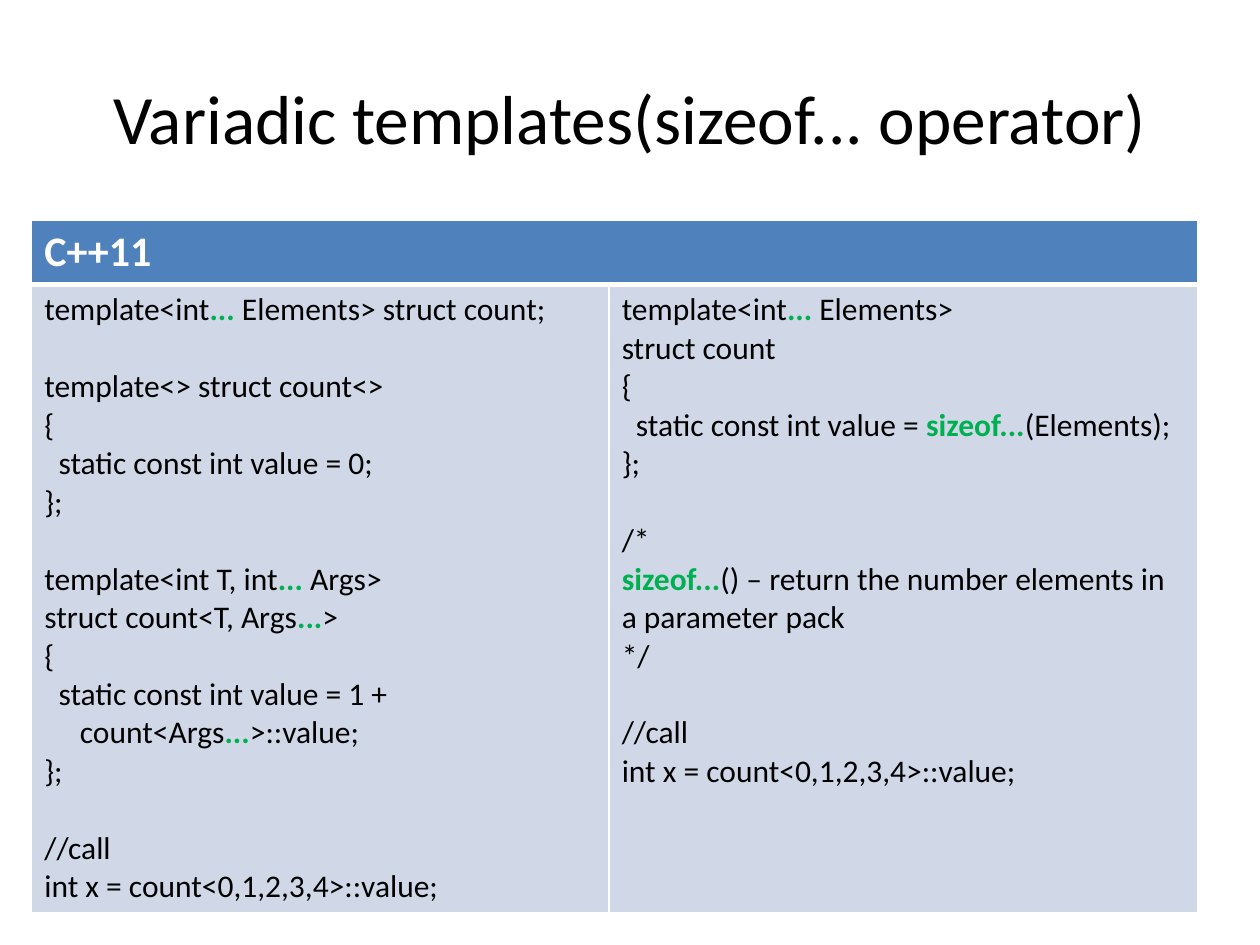
from dataclasses import dataclass

from lxml import etree
from pptx import Presentation
from pptx import util as u
from pptx.dml.color import RGBColor
from pptx.enum import text
from pptx.oxml.ns import qn


@dataclass(frozen=True)
class Theme:
    font: str = "Calibri"
    ink: str = "000000"
    white: str = "FFFFFF"
    head: str = "4F81BD"
    body: str = "D0D8E8"
    mark: str = "00B050"
    title: float = 39.6
    label: float = 24
    code: float = 18
    gap: float = 22  # one line of code
    thin: float = 1
    thick: float = 3


# Code lines: parts between bars are marked, "" leaves a one-line gap
LEFT = [
    "template<int|...| Elements> struct count;",
    "",
    "template<> struct count<>",
    "{",
    "  static const int value = 0;",
    "};",
    "",
    "template<int T, int|...| Args>",
    "struct count<T, Args|...|>",
    "{",
    "  static const int value = 1 +",
    "     count<Args|...|>::value;",
    "};",
    "",
    "//call",
    "int x = count<0,1,2,3,4>::value;",
]
RIGHT = [
    "template<int|...| Elements>",
    "struct count",
    "{",
    "  static const int value = |sizeof...|(Elements);",
    "};",
    "",
    "/*",
    "|sizeof...|() – return the number elements in a parameter pack",
    "*/",
    "",
    "//call",
    "int x = count<0,1,2,3,4>::value;",
]


class Page:
    def __init__(self, deck, theme):
        self.theme = theme
        self.slide = deck.slides.add_slide(deck.slide_layouts[5])

    def run(self, par, words, size, color, bold=False):
        run = par.add_run()
        run.text = words
        font = run.font
        font.name, font.size, font.bold = self.theme.font, u.Pt(size), bold
        font.color.rgb = RGBColor.from_string(color)

    def title(self, words, left, top, width, height):
        box = self.slide.shapes.title
        box.left, box.top, box.width, box.height = map(u.Cm, (left, top, width, height))
        frame = box.text_frame
        frame.word_wrap = True
        frame.vertical_anchor = text.MSO_ANCHOR.MIDDLE
        par = frame.paragraphs[0]
        par.alignment = text.PP_ALIGN.CENTER
        self.run(par, words, self.theme.title, self.theme.ink)

    def table(self, left, top, cols, rows):
        sizes = map(u.Cm, (left, top, sum(cols), sum(rows)))
        grid = self.slide.shapes.add_table(len(rows), len(cols), *sizes).table
        for col, width in zip(grid.columns, cols):
            col.width = u.Cm(width)
        for row, height in zip(grid.rows, rows):
            row.height = u.Cm(height)
        return grid

    def paint(self, cell, fill, top, bottom):
        props = cell._tc.get_or_add_tcPr()
        thin = self.theme.thin
        for side, width in zip("LRTB", (thin, thin, top, bottom)):
            line = etree.SubElement(props, qn(f"a:ln{side}"), w=str(u.Pt(width)))
            solid = etree.SubElement(line, qn("a:solidFill"))
            etree.SubElement(solid, qn("a:srgbClr"), val=self.theme.white)
        cell.fill.solid()
        cell.fill.fore_color.rgb = RGBColor.from_string(fill)

    def code(self, cell, lines):
        look, frame = self.theme, cell.text_frame
        par, gap = frame.paragraphs[0], False
        for num, line in enumerate(lines):
            if not line:
                gap = True
                continue
            if num:
                par = frame.add_paragraph()
            if gap:
                par.space_before = u.Pt(look.gap)
                gap = False
            for spot, part in enumerate(line.split("|")):
                hot = spot % 2 == 1
                if part:
                    self.run(par, part, look.code, look.mark if hot else look.ink, hot)


def main():
    deck = Presentation()
    deck.slide_width, deck.slide_height = u.Cm(25.4), u.Cm(19.05)
    theme = Theme()
    page = Page(deck, theme)

    # Title
    page.title("Variadic templates(sizeof... operator)", 1.27, 0.76, 22.86, 3.18)

    # Table with one heading over two code columns
    grid = page.table(0.64, 4.45, cols=(11.64, 11.86), rows=(1.27, 12.45))
    for cell in grid.rows[0].cells:
        page.paint(cell, theme.head, theme.thin, theme.thick)
    head = grid.cell(0, 0)
    head.merge(grid.cell(0, 1))
    page.run(head.text_frame.paragraphs[0], "C++11", theme.label, theme.white, True)

    # Code
    for cell, lines in zip(grid.rows[1].cells, (LEFT, RIGHT)):
        page.paint(cell, theme.body, theme.thick, theme.thin)
        page.code(cell, lines)

    deck.save("out.pptx")


if __name__ == "__main__":
    main()
